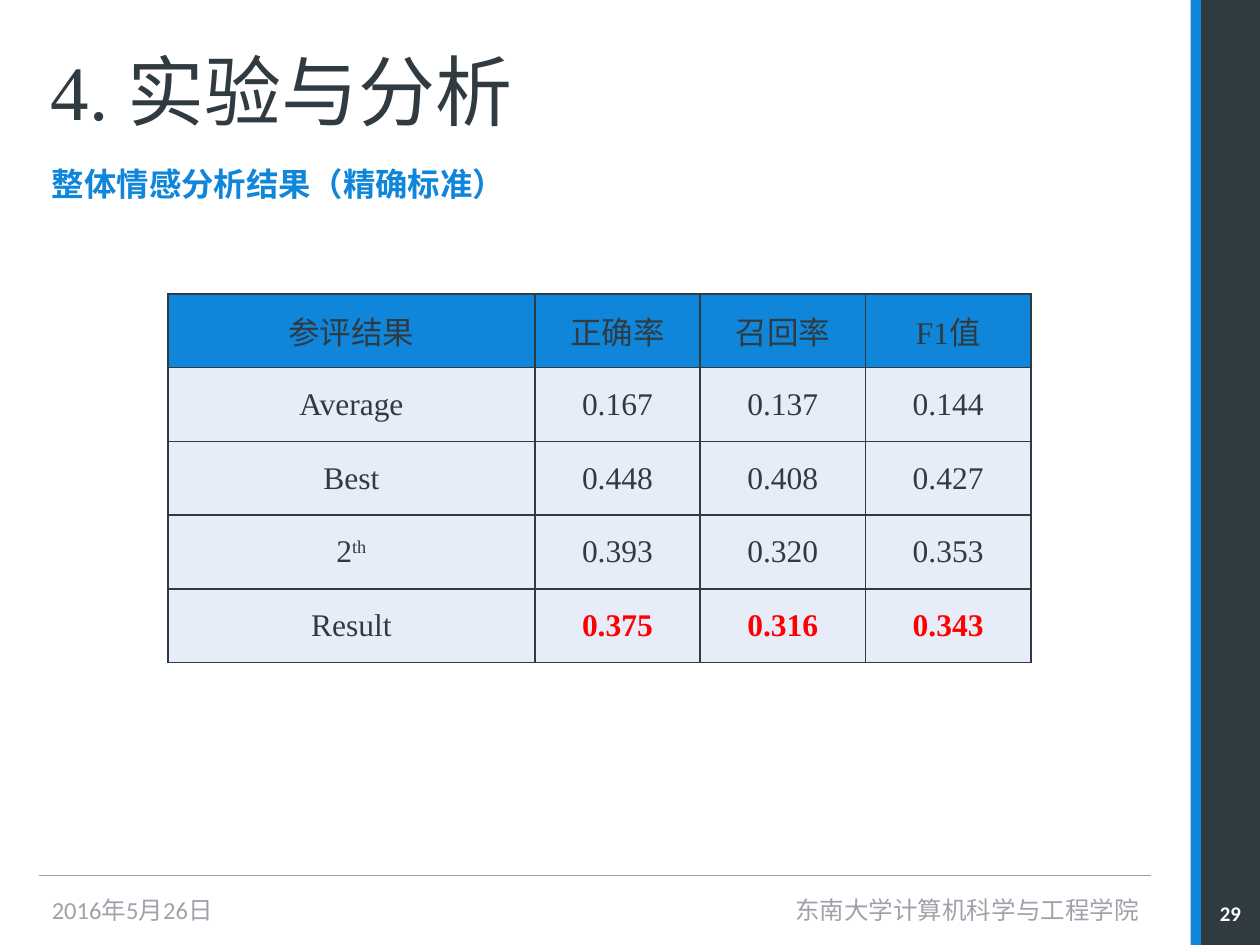
from lxml.etree import SubElement
from pptx import Presentation
from pptx.dml.color import RGBColor
from pptx.enum.shapes import MSO_CONNECTOR as Connector, MSO_SHAPE as Shape
from pptx.enum.text import MSO_ANCHOR as Anchor, MSO_AUTO_SIZE as AutoSize, PP_ALIGN as Align
from pptx.oxml.ns import qn
from pptx.util import Pt

BLUE, DARK, GREY, PALE = "0F86DA", "303B41", "A1A1AD", "E7EDF8"
RED, WHITE = "FF0000", "FFFFFF"
SERIF, SANS = "Times New Roman", "Calibri"

RESULTS = [
    ("参评结果", "正确率", "召回率", "F1值"),
    ("Average", "0.167", "0.137", "0.144"),
    ("Best", "0.448", "0.408", "0.427"),
    ("2^th", "0.393", "0.320", "0.353"),  # text after ^ is superscript
    ("Result", "0.375", "0.316", "0.343"),
]


def color(hex_string):
    return RGBColor.from_string(hex_string)


def style(para, font, size, ink, bold=False, align=Align.LEFT):
    para.alignment = align
    para.font.name = font
    para.font.size = Pt(size)
    para.font.bold = bold
    para.font.color.rgb = color(ink)


def place(shape, left, top, width, height):
    shape.left, shape.top = Pt(left), Pt(top)
    shape.width, shape.height = Pt(width), Pt(height)


def fill_placeholder(shape, area, text, anchor, *look):
    place(shape, *area)
    frame = shape.text_frame
    frame.auto_size = AutoSize.NONE
    frame.vertical_anchor = anchor
    frame.text = text
    style(frame.paragraphs[0], *look)
    return frame.paragraphs[0]


def remove_bullet(para):
    properties = para._p.get_or_add_pPr()
    properties.set("marL", "0")
    properties.set("indent", "0")
    SubElement(properties, qn("a:buNone"))


def add_bar(page, left, width, fill):
    bar = page.shapes.add_shape(Shape.RECTANGLE, Pt(left), 0, Pt(width), Pt(540))
    bar.shadow.inherit = False
    bar.fill.solid()
    bar.fill.fore_color.rgb = color(fill)
    bar.line.fill.background()


def add_rule(page, left, right, top):
    rule = page.shapes.add_connector(Connector.STRAIGHT, Pt(left), Pt(top), Pt(right), Pt(top))
    rule.line.color.rgb = color(GREY)
    rule.line.width = Pt(0.79)
    SubElement(rule._element.spPr, qn("a:effectLst"))


def add_label(page, area, text, *look, side_margin=7.2):
    box = page.shapes.add_textbox(*map(Pt, area))
    frame = box.text_frame
    frame.word_wrap = True
    frame.vertical_anchor = Anchor.MIDDLE
    frame.margin_left = frame.margin_right = Pt(side_margin)
    frame.text = text
    style(frame.paragraphs[0], *look)


def add_borders(cell):
    properties = cell._tc.get_or_add_tcPr()
    for index, side in enumerate(("lnL", "lnR", "lnT", "lnB")):
        line = properties.makeelement(qn(f"a:{side}"), {"w": str(Pt(1))})
        SubElement(SubElement(line, qn("a:solidFill")), qn("a:srgbClr"), val=DARK)
        properties.insert(index, line)  # borders come before the fill


def fill_cell(cell, text, fill, ink, bold):
    cell.fill.solid()
    cell.fill.fore_color.rgb = color(fill)
    add_borders(cell)
    cell.vertical_anchor = Anchor.MIDDLE
    cell.margin_left = cell.margin_right = Pt(5)
    cell.margin_top = cell.margin_bottom = 0
    para = cell.text_frame.paragraphs[0]
    base, _, raised = text.partition("^")
    para.add_run().text = base
    if raised:
        span = para.add_run()
        span.text = raised
        span._r.get_or_add_rPr().set("baseline", "30000")
    style(para, SERIF, 18, ink, bold, Align.CENTER)


def add_results(page, left, top, widths, row_height):
    frame = page.shapes.add_table(len(RESULTS), len(widths), Pt(left), Pt(top),
                                  Pt(sum(widths)), Pt(row_height * len(RESULTS)))
    table = frame.table
    for column, width in zip(table.columns, widths):
        column.width = Pt(width)
    for r, texts in enumerate(RESULTS):
        table.rows[r].height = Pt(row_height)
        for c, text in enumerate(texts):
            own_score = r == len(RESULTS) - 1 and c > 0
            fill_cell(table.cell(r, c), text, PALE if r else BLUE,
                      RED if own_score else DARK, own_score)


def main():
    deck = Presentation()
    deck.slide_width, deck.slide_height = Pt(720), Pt(540)
    page = deck.slides.add_slide(deck.slide_layouts[1])

    # Side bars and footer
    add_bar(page, 680.4, 39.6, BLUE)
    add_bar(page, 686.3, 33.7, DARK)
    add_rule(page, 22.5, 658, 500.4)
    add_label(page, (22.5, 505.5, 140, 29), "2016年5月26日", SANS, 14, GREY)
    add_label(page, (231, 505.5, 427, 29), "东南大学计算机科学与工程学院",
              SANS, 14, GREY, False, Align.RIGHT)
    add_label(page, (686.3, 512, 33.7, 19.5), "29", SANS, 11.9, WHITE, True,
              Align.CENTER, side_margin=0)

    # Headings
    title, body = page.placeholders
    fill_placeholder(title, (21.8, 12.3, 642, 77.7), "4. 实验与分析",
                     Anchor.MIDDLE, SERIF, 44, DARK)
    subtitle = fill_placeholder(body, (22.5, 90, 641.5, 28), "整体情感分析结果（精确标准）",
                                Anchor.TOP, SANS, 18.5, BLUE, True)
    subtitle.space_before = Pt(7)
    remove_bullet(subtitle)

    # Scores
    add_results(page, 96, 168, (209.6, 94.5, 94.5, 94.5), 42.15)

    deck.save("out.pptx")


if __name__ == "__main__":
    main()
